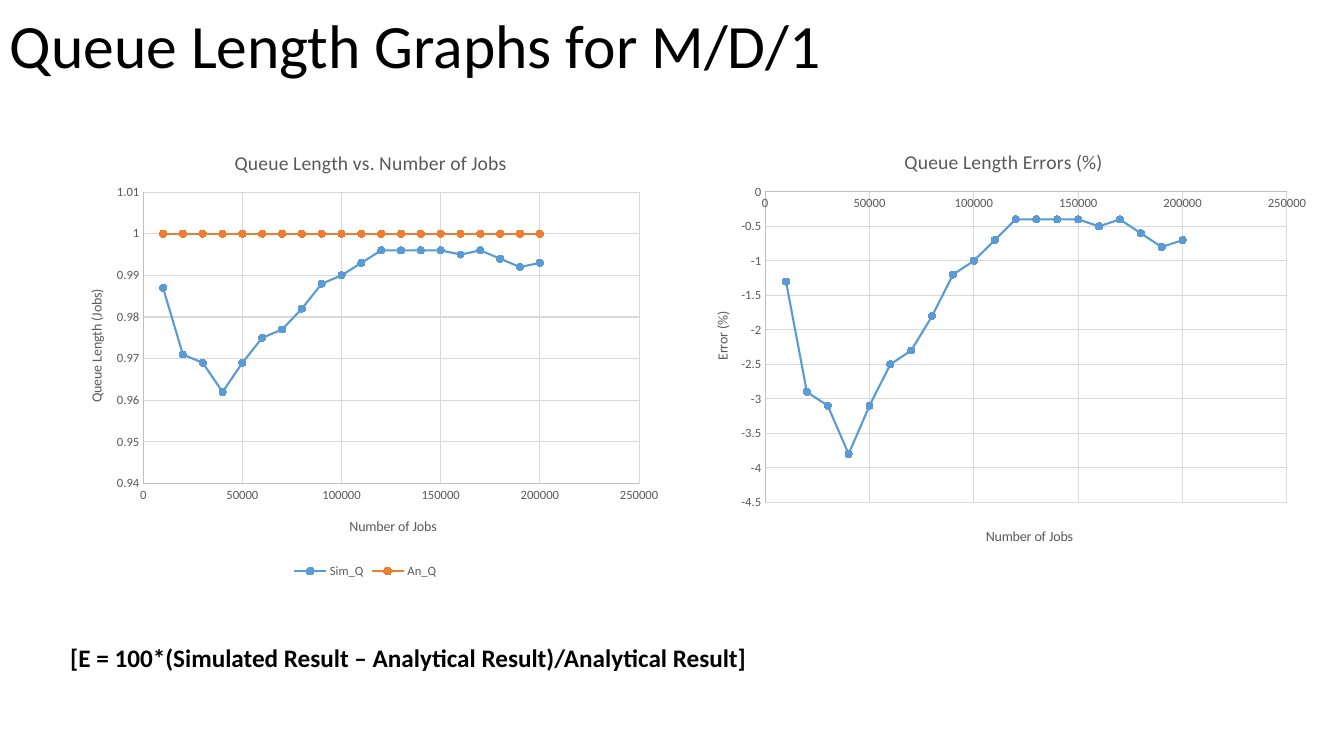
from lxml import etree
from pptx import Presentation
from pptx.chart.data import XyChartData
from pptx.dml.color import RGBColor
from pptx.enum.chart import (XL_CHART_TYPE, XL_LEGEND_POSITION,
                             XL_MARKER_STYLE, XL_TICK_MARK)
from pptx.enum.text import MSO_ANCHOR
from pptx.oxml.ns import qn
from pptx.util import Cm, Pt

SCATTER = XL_CHART_TYPE.XY_SCATTER_LINES
BOTTOM = XL_LEGEND_POSITION.BOTTOM
CIRCLE = XL_MARKER_STYLE.CIRCLE
NO_TICK = XL_TICK_MARK.NONE
MIDDLE = MSO_ANCHOR.MIDDLE

FONT = "Calibri"
COLORS = {"ink": "000000", "gray": "595959", "axis": "BFBFBF",
          "grid": "D9D9D9", "blue": "5B9BD5", "orange": "ED7D31"}

JOBS = range(10000, 200001, 10000)
SIM = [0.987, 0.971, 0.969, 0.962, 0.969, 0.975, 0.977, 0.982, 0.988, 0.99,
       0.993, 0.996, 0.996, 0.996, 0.996, 0.995, 0.996, 0.994, 0.992, 0.993]
EXACT = [1] * len(SIM)
ERRORS = [round(100 * (s - e) / e, 1) for s, e in zip(SIM, EXACT)]


def color(name):
    return RGBColor.from_string(COLORS[name])


def style(font, size, name="gray", bold=False):
    font.name, font.size, font.bold = FONT, Pt(size), bold
    font.color.rgb = color(name)


def stroke(line, name, width):
    line.color.rgb = color(name)
    line.width = Pt(width)


def add_text(slide, box, text, size, bold=False, spacing=None):
    frame = slide.shapes.add_textbox(*map(Cm, box)).text_frame
    frame.word_wrap = True
    frame.vertical_anchor = MIDDLE
    para = frame.paragraphs[0]
    para.text = text
    para.line_spacing = spacing
    style(para.font, size, "ink", bold)


def place(parent, index, x, y, w=None, h=None):
    """Set a manual layout, in fractions of the chart."""
    for old in parent.findall(qn("c:layout")):
        parent.remove(old)
    layout = etree.Element(qn("c:layout"))
    manual = etree.SubElement(layout, qn("c:manualLayout"))
    parts = [("xMode", "edge"), ("yMode", "edge"), ("x", x), ("y", y)]
    if w:
        parts = [("layoutTarget", "inner")] + parts + [("w", w), ("h", h)]
    for tag, val in parts:
        etree.SubElement(manual, qn("c:" + tag)).set("val", str(val))
    parent.insert(index, layout)


def add_title(owner, text, size, spot):
    """Title a chart or an axis."""
    title = owner.chart_title if hasattr(owner, "chart_title") else owner.axis_title
    para = title.text_frame.paragraphs[0]
    para.text = text
    style(para.font, size)
    place(title._element, 1, *spot)


def set_axis(axis, low, high, step, text, spot):
    axis.minimum_scale, axis.maximum_scale, axis.major_unit = low, high, step
    axis.major_tick_mark = axis.minor_tick_mark = NO_TICK
    axis.has_major_gridlines = True
    stroke(axis.major_gridlines.format.line, "grid", 0.75)
    stroke(axis.format.line, "axis", 0.75)
    axis.tick_labels.number_format = "General"
    axis.tick_labels.number_format_is_linked = False
    style(axis.tick_labels.font, 9)
    add_title(axis, text, 10, spot)


def add_graph(slide, box, head, plot, series, across, up, legend=False):
    """head: (text, spot); across and up: axis settings."""
    data = XyChartData()
    for name, vals, _ in series:
        row = data.add_series(name)
        for job, val in zip(JOBS, vals):
            row.add_data_point(job, val)
    chart = slide.shapes.add_chart(SCATTER, *map(Cm, box), data).chart
    style(chart.font, 10, "ink")
    chart.has_title = True
    add_title(chart, head[0], 14, head[1])
    place(chart.plots[0]._element.getparent(), 0, *plot)
    set_axis(chart.category_axis, *across)
    set_axis(chart.value_axis, *up)
    chart.has_legend = legend
    if legend:
        chart.legend.position = BOTTOM
        chart.legend.include_in_layout = False
        style(chart.legend.font, 9)
    for line, (_, _, name) in zip(chart.plots[0].series, series):
        line.smooth = False
        stroke(line.format.line, name, 1.5)
        mark = line.marker
        mark.style, mark.size = CIRCLE, 5
        mark.format.fill.solid()
        mark.format.fill.fore_color.rgb = color(name)
        stroke(mark.format.line, name, 0.75)


def graph_slide(deck):
    slide = deck.slides.add_slide(deck.slide_layouts[6])
    # Heading
    add_text(slide, (0, 0.25, 29.21, 1.96), "Queue Length Graphs for M/D/1",
             44, spacing=0.9)
    # Queue length
    span = (0, 250000, 50000, "Number of Jobs")
    add_graph(slide, (1.52, 3.2, 15.37, 11.48),
              ("Queue Length vs. Number of Jobs", (0.28, 0.04)),
              (0.136, 0.143, 0.813, 0.64),
              [("Sim_Q", SIM, "blue"), ("An_Q", EXACT, "orange")],
              (*span, (0.47, 0.85)),
              (0.94, 1.01, 0.01, "Queue Length (Jobs)", (0.04, 0.35)),
              legend=True)
    # Error
    add_graph(slide, (17.27, 3.2, 15.98, 10.9),
              ("Queue Length Errors (%)", (0.34, 0.04)),
              (0.126, 0.15, 0.823, 0.718),
              [("Series 1", ERRORS, "blue")],
              (*span, (0.47, 0.92)),
              (-4.5, 0, 0.5, "Error (%)", (0.04, 0.42)))
    # Formula
    add_text(slide, (1.52, 16.05, 20.19, 1.02),
             "[E = 100*(Simulated Result – Analytical Result)/Analytical Result]",
             18, bold=True)


def main():
    deck = Presentation()
    deck.slide_width, deck.slide_height = Cm(33.87), Cm(19.05)
    graph_slide(deck)
    deck.save("out.pptx")


if __name__ == "__main__":
    main()
